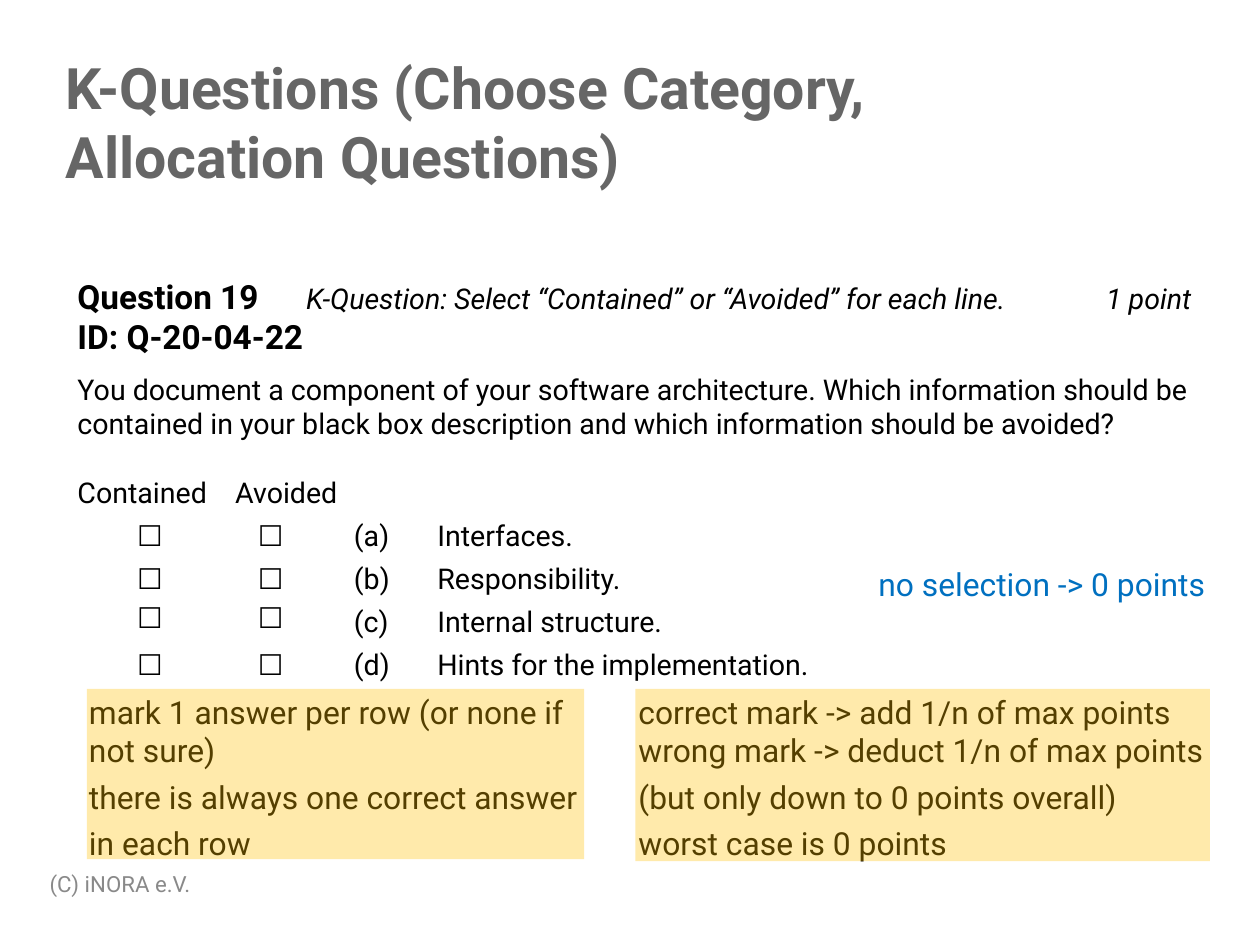
from lxml import etree
from pptx import Presentation
from pptx import util as u
from pptx.dml.color import RGBColor
from pptx.enum import shapes, text
from pptx.oxml.ns import qn

WIDTH, HEIGHT = u.Cm(28), u.Cm(21)
FONT = "Roboto"
BLACK, GREY, BLUE, PALE, AMBER = "000000", "666666", "0070C0", "898989", "FFC000"
HEAD = {"size": 21, "bold": True}
BODY = {"size": 18}
HINT = {"size": 18, "italic": True}
NOTE = {"size": 20}
GAP = {"space_before": 5.2}

QUESTION = [
    ([("Question 19", HEAD), ("\t", BODY),
      ("K-Question: Select “Contained” or “Avoided” for each line.\t1 point", HINT)],
     {"tabs": (2, 9)}),
    ([("ID: Q-20-04-22", HEAD)], {}),
    ([("You document a component of your software architecture. Which information should be", BODY)],
     {"space_before": 10}),
    ([("contained in your black box description and which information should be avoided?", BODY)], {}),
    ([("Contained\tAvoided", BODY)], {"space_before": 22, "tabs": (1.38,)}),
]
MARKING = [
    ([("mark 1 answer per row (or none if", NOTE)], {}),
    ([("not sure)", NOTE)], {}),
    ([("there is always one correct answer", NOTE)], GAP),
    ([("in each row", NOTE)], GAP),
]
SCORING = [
    ([("correct mark -> add 1/n of max points", NOTE)], {}),
    ([("wrong mark -> deduct 1/n of max points", NOTE)], {}),
    ([("(but only down to 0 points overall)", NOTE)], GAP),
    ([("worst case is 0 points", NOTE)], GAP),
]
TITLE = [([("K-Questions (Choose Category, Allocation Questions)",
            {"size": 36, "bold": True, "color": GREY})], {})]
NO_SELECTION = [([("no selection -> 0 points", {"size": 20, "color": BLUE})], {"space_before": 6.9})]
FOOTER = [([("(C) iNORA e.V.", {"size": 14, "color": PALE})], {})]

GROW = {"auto_size": text.MSO_AUTO_SIZE.SHAPE_TO_FIT_TEXT}
MIDDLE = {"vertical_anchor": text.MSO_ANCHOR.MIDDLE}
FLUSH = dict.fromkeys(("margin_left", "margin_right", "margin_top", "margin_bottom"), 0)
BOXES = [
    ((5.26, 28.66, 90.2, 25.76), QUESTION, {**GROW, **MIDDLE, "word_wrap": False}),
    ((5.22, 5.56, 71.42, 14.63), TITLE, {**GROW, **FLUSH}),
    ((6.17, 72.75, 46.28, 19.23), MARKING, GROW),
    ((49.78, 72.75, 46.91, 19.23), SCORING, GROW),
    ((68.82, 59.13, 30.85, 5.32), NO_SELECTION, GROW),
    ((3.05, 91.13, 27.2, 4.84), FOOTER, MIDDLE),
]
HIGHLIGHTS = [(6.9, 72.89, 39.47, 18.02), (50.42, 72.89, 45.6, 18.24)]

ANSWERS = [
    [("(a)", "Interfaces.")],
    [("(b)", "Responsibility."), ("(c)", "Internal structure.")],
    [("(d)", "Hints for the implementation.")],
]
TABLE_LEFT, TABLE_TOP = 7.22, 54.5
COLUMNS, ROWS = (9.35, 9.8, 6.62, 48.37), (1.09, 1.09, 4.84)
CELL = {"margin_left": u.Inches(0.07), "margin_right": u.Inches(0.07),
        "margin_top": 0, "margin_bottom": u.Inches(0.04)}
TICK = {"alignment": text.PP_ALIGN.CENTER, "line_spacing": 1.15}
ANSWER = {"line_spacing": 1.15, "space_after": 3, "indent": 0.12}


def color(value):
    return RGBColor.from_string(value)


def across(share):
    return u.Emu(round(WIDTH * share / 100))


def down(share):
    return u.Emu(round(HEIGHT * share / 100))


def place(left, top, width, height):
    return across(left), down(top), across(width), down(height)


def apply(target, values):
    for name, value in values.items():
        setattr(target, name, value)


def format_paragraph(p, values):
    for name, value in values.items():
        if name == "indent":
            pPr = p._p.get_or_add_pPr()
            pPr.set("marL", str(u.Inches(value)))
            pPr.set("indent", "0")
        elif name == "tabs":
            stops = etree.SubElement(p._p.get_or_add_pPr(), qn("a:tabLst"))
            for stop in value:
                etree.SubElement(stops, qn("a:tab"), pos=str(u.Inches(stop)), algn="l")
        else:
            setattr(p, name, u.Pt(value) if name.startswith("space") else value)


def write(tf, paragraphs):
    for i, (runs, layout) in enumerate(paragraphs):
        p = tf.add_paragraph() if i else tf.paragraphs[0]
        format_paragraph(p, layout)
        for words, style in runs:
            r = p.add_run()
            r.text = words
            style = {"color": BLACK, "bold": False, **style}
            r.font.color.rgb = color(style.pop("color"))
            apply(r.font, {**style, "name": FONT, "size": u.Pt(style["size"])})


def add_answers(s):
    frame = s.shapes.add_table(len(ROWS), len(COLUMNS),
                               *place(TABLE_LEFT, TABLE_TOP, sum(COLUMNS), sum(ROWS)))
    table = frame.table
    apply(table, {"first_row": False, "horz_banding": False})
    for column, share in zip(table.columns, COLUMNS):
        column.width = across(share)
    for row, share, answers in zip(table.rows, ROWS, ANSWERS):
        row.height = down(share)
        lines = [("☐", "☐", *answer) for answer in answers]
        for i, (cell, words) in enumerate(zip(row.cells, zip(*lines))):
            cell.fill.background()
            apply(cell, CELL)
            write(cell.text_frame, [([(word, BODY)], TICK if i < 2 else ANSWER) for word in words])


def add_highlight(s, area):
    sp = s.shapes.add_shape(shapes.MSO_SHAPE.RECTANGLE, *place(*area))
    sp.shadow.inherit = False
    sp.line.fill.background()
    sp.fill.solid()
    sp.fill.fore_color.rgb = color(AMBER)
    tint = sp._element.spPr.find(qn("a:solidFill"))[0]
    etree.SubElement(tint, qn("a:alpha"), val="33000")


def main():
    prs = Presentation()
    apply(prs, {"slide_width": WIDTH, "slide_height": HEIGHT})
    s = prs.slides.add_slide(prs.slide_layouts[6])
    add_answers(s)
    for area, paragraphs, frame in BOXES:
        tf = s.shapes.add_textbox(*place(*area)).text_frame
        apply(tf, {"word_wrap": True, **frame})
        write(tf, paragraphs)
    for area in HIGHLIGHTS:
        add_highlight(s, area)
    prs.save("out.pptx")


if __name__ == "__main__":
    main()
